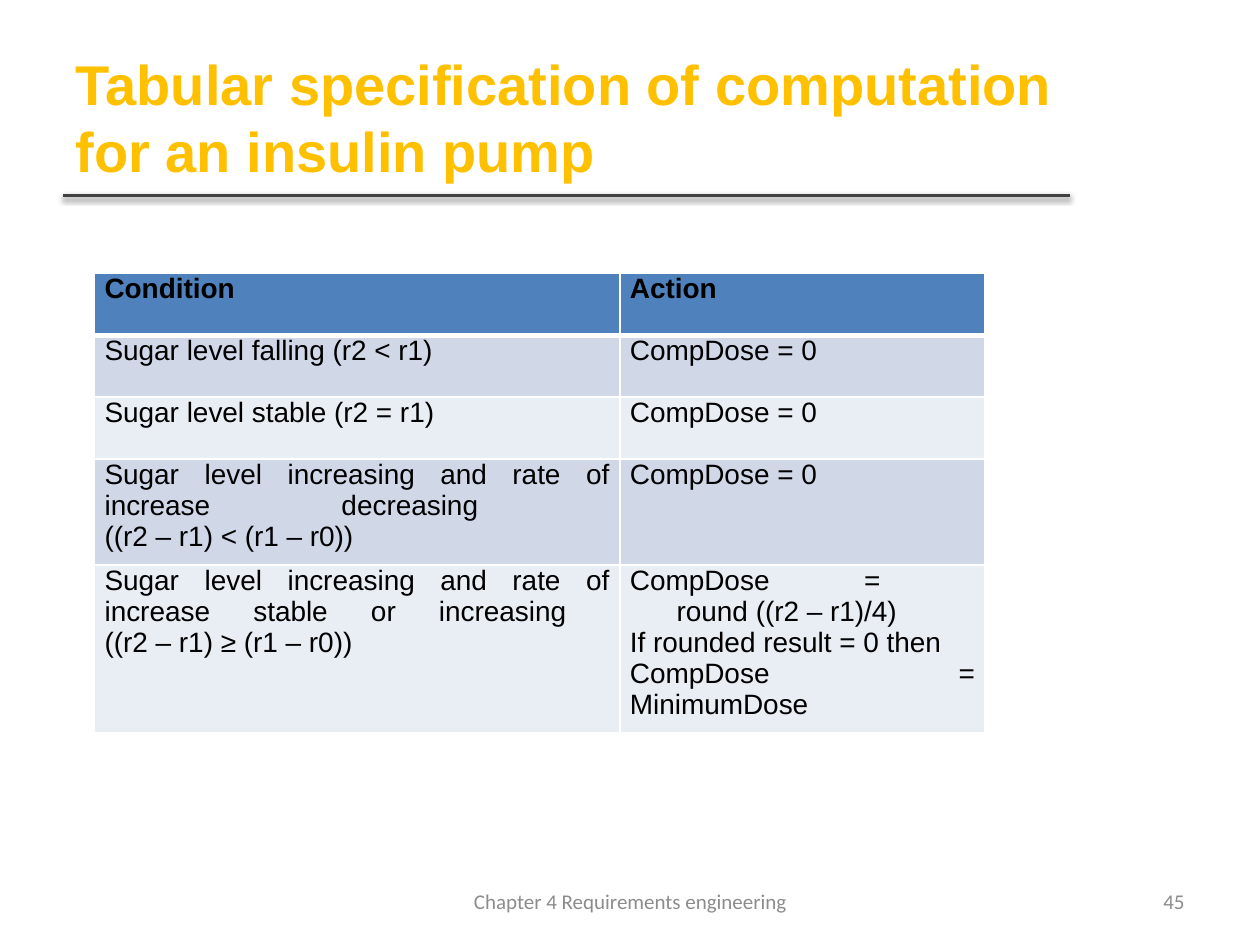
from lxml.etree import SubElement
from pptx import Presentation
from pptx.dml.color import RGBColor
from pptx.enum.shapes import MSO_CONNECTOR
from pptx.enum.text import MSO_ANCHOR, MSO_AUTO_SIZE, PP_ALIGN
from pptx.oxml import parse_xml
from pptx.oxml.ns import nsdecls, qn
from pptx.util import Pt

GOLD = RGBColor(0xFF, 0xC0, 0x00)
DARK = RGBColor(0x40, 0x40, 0x40)
GRAY = RGBColor(0x8C, 0x8C, 0x8C)
BLACK = RGBColor(0x00, 0x00, 0x00)
WHITE = RGBColor(0xFF, 0xFF, 0xFF)
BLUE = RGBColor(0x4F, 0x81, 0xBD)
BANDS = [RGBColor(0xE9, 0xED, 0xF4), RGBColor(0xD0, 0xD8, 0xE8)]


def style(frame, align, color, **form):
    for para in frame.paragraphs:
        para.alignment = align
        for run in para.runs:
            run.font.color.rgb = color
            for key, value in form.items():
                setattr(run.font, key, value)


def edge(cell, side, width):
    line = SubElement(cell._tc.get_or_add_tcPr(), qn("a:" + side), w=str(Pt(width)))
    fill = SubElement(line, qn("a:solidFill"))
    SubElement(fill, qn("a:srgbClr"), val=str(WHITE))


deck = Presentation()
deck.slide_width, deck.slide_height = Pt(720), Pt(540)
slide = deck.slides.add_slide(deck.slide_layouts[5])
shapes = slide.shapes

rule = shapes.add_connector(MSO_CONNECTOR.STRAIGHT, Pt(36), Pt(111.6), Pt(611.3), Pt(111.6))
rule.line.color.rgb = DARK
rule.line.width = Pt(2)
rule._element.spPr.append(parse_xml(
    f'<a:effectLst {nsdecls("a")}><a:outerShdw blurRad="{Pt(3.1)}" dist="{Pt(1.6)}" '
    'dir="5400000" rotWithShape="0"><a:srgbClr val="000000"><a:alpha val="38000"/>'
    '</a:srgbClr></a:outerShdw></a:effectLst>'))

title = shapes.title
place = {"left": 36, "top": 21.6, "width": 574.6, "height": 90}
for key, value in place.items():
    setattr(title, key, Pt(value))
frame = title.text_frame
frame.text = "Tabular specification of computation for an insulin pump"
frame.word_wrap = True
frame.auto_size = MSO_AUTO_SIZE.NONE
frame.vertical_anchor = MSO_ANCHOR.MIDDLE
style(frame, PP_ALIGN.LEFT, GOLD, name="Arial", size=Pt(32), bold=True)

rows = [
    ("Condition", "Action"),
    ("Sugar level falling (r2 < r1)", "CompDose = 0"),
    ("Sugar level stable (r2 = r1)", "CompDose = 0"),
    ("Sugar level increasing and rate of increase decreasing \v((r2 – r1) < (r1 – r0))",
     "CompDose = 0"),
    ("Sugar level increasing and rate of increase stable or increasing \v"
     "((r2 – r1) ≥ (r1 – r0))",
     "CompDose = \vround ((r2 – r1)/4)\nIf rounded result = 0 then \nCompDose = MinimumDose"),
]
inset = {"margin_left": 5.76, "margin_top": 0, "margin_right": 5.76, "margin_bottom": 7.2}
table = shapes.add_table(5, 2, Pt(54), Pt(156.4), Pt(509), Pt(274)).table
for col, width in zip(table.columns, [300.2, 208.8]):
    col.width = Pt(width)
for row, height in zip(table.rows, [35.3, 35.3, 35.3, 35.3, 48.2]):
    row.height = Pt(height)
for i, texts in enumerate(rows):
    for j, text in enumerate(texts):
        cell = table.cell(i, j)
        cell.text = text
        for key, value in inset.items():
            setattr(cell, key, Pt(value))
        sides = {"lnL": 1, "lnR": 1, "lnT": 3 if i == 1 else 1, "lnB": 3 if i == 0 else 1}
        for side, width in sides.items():
            edge(cell, side, width)
        cell.fill.solid()
        cell.fill.fore_color.rgb = BANDS[i % 2] if i else BLUE
        style(cell.text_frame, PP_ALIGN.JUSTIFY, BLACK, name="Arial", size=Pt(16), bold=i == 0)

dose = table.cell(4, 1).text_frame.paragraphs[0]._p.get_or_add_pPr()
dose.set("marL", str(Pt(26.7)))
dose.set("indent", str(Pt(-26.7)))

notes = [
    ("45", 516.2, 167.8, PP_ALIGN.RIGHT),
    ("Chapter 4 Requirements engineering", 246.2, 228.2, PP_ALIGN.CENTER),
]
for text, left, width, align in notes:
    frame = shapes.add_textbox(Pt(left), Pt(500.4), Pt(width), Pt(28.8)).text_frame
    frame.text = text
    frame.word_wrap = True
    frame.vertical_anchor = MSO_ANCHOR.MIDDLE
    style(frame, align, GRAY, name="Calibri", size=Pt(12))

deck.save("out.pptx")
